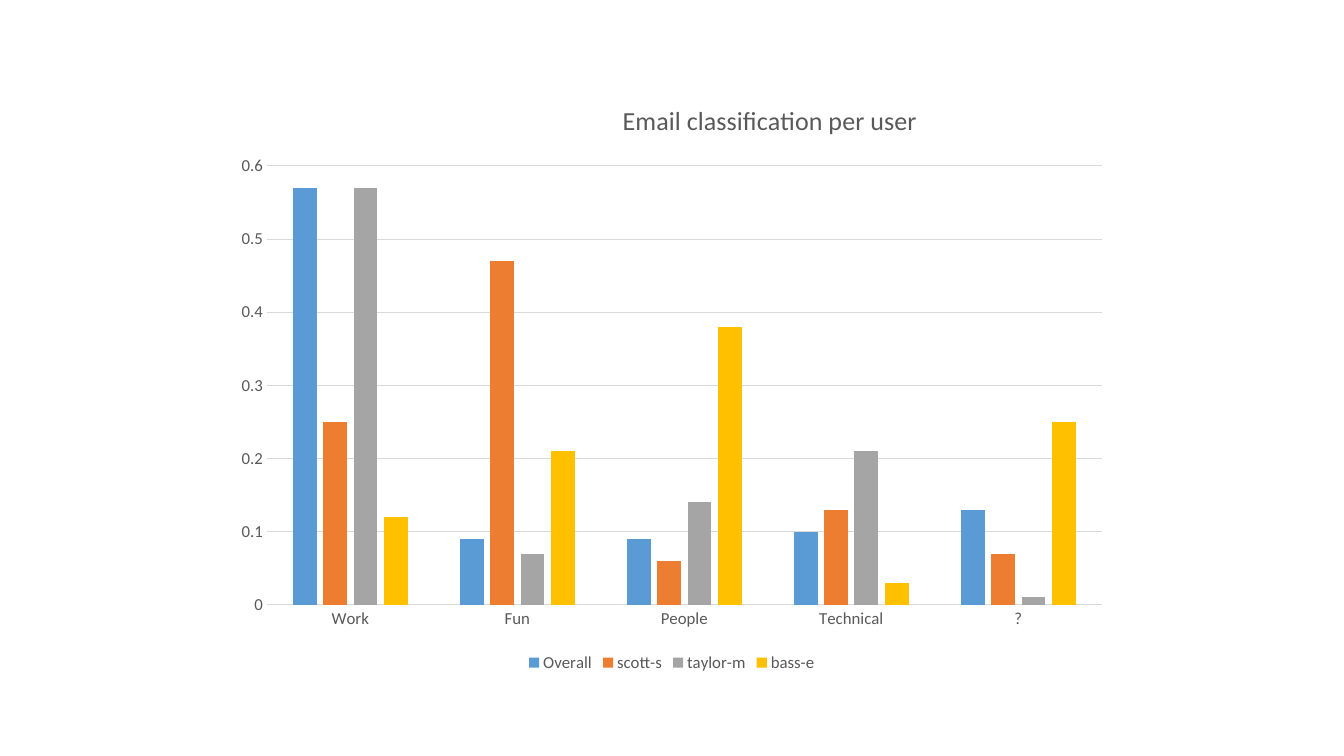
"""Build a slide with a column chart of email classes per user."""
from pptx import Presentation
from pptx.chart.data import CategoryChartData
from pptx.dml.color import RGBColor
from pptx.enum.chart import XL_CHART_TYPE as ChartType
from pptx.enum.chart import XL_LEGEND_POSITION as LegendPosition
from pptx.enum.chart import XL_TICK_MARK as TickMark
from pptx.oxml import parse_xml
from pptx.oxml.ns import nsdecls
from pptx.util import Cm, Pt

GREY, RULE = "595959", "D9D9D9"
CATEGORIES = ["Work", "Fun", "People", "Technical", "?"]
SERIES = {
    "Overall": ("5B9BD5", [0.57, 0.09, 0.09, 0.1, 0.13]),
    "scott-s": ("ED7D31", [0.25, 0.47, 0.06, 0.13, 0.07]),
    "taylor-m": ("A5A5A5", [0.57, 0.07, 0.14, 0.21, 0.01]),
    "bass-e": ("FFC000", [0.12, 0.21, 0.38, 0.03, 0.25]),
}


def color(value):
    return RGBColor.from_string(value)


def layout(target, **places):
    for old in target.findall("{*}layout"):
        target.remove(old)
    parts = "".join(f'<c:{name} val="{value}"/>' for name, value in places.items())
    return parse_xml(
        f'<c:layout {nsdecls("c")}><c:manualLayout>{parts}</c:manualLayout></c:layout>'
    )


deck = Presentation()
deck.slide_width, deck.slide_height = Cm(33.87), Cm(19.05)
page = deck.slides.add_slide(deck.slide_layouts[6])

data = CategoryChartData(number_format="General")
data.categories = CATEGORIES
for name, (_, values) in SERIES.items():
    data.add_series(name, values)
chart = page.shapes.add_chart(
    ChartType.COLUMN_CLUSTERED, Cm(5.64), Cm(2), Cm(22.58), Cm(15.05), data
).chart

chart.has_title = chart.has_legend = True
chart.legend.position = LegendPosition.BOTTOM
chart.legend.include_in_layout = False
title = chart.chart_title
title.include_in_layout = False
title.text_frame.text = "Email classification per user"
span = title.text_frame.paragraphs[0].runs[0]

fonts = [
    (chart.font, 12),
    (chart.legend.font, 12),
    (chart.category_axis.tick_labels.font, 12),
    (chart.value_axis.tick_labels.font, 12),
    (span.font, 18.6),
]
for font, size in fonts:
    for key, value in {"name": "Calibri", "size": Pt(size), "bold": False}.items():
        setattr(font, key, value)
    font.color.rgb = color(GREY)

for axis in (chart.category_axis, chart.value_axis):
    axis.major_tick_mark = axis.minor_tick_mark = TickMark.NONE
value_axis = chart.value_axis
for key, value in {
    "minimum_scale": 0,
    "maximum_scale": 0.6,
    "major_unit": 0.1,
    "has_major_gridlines": True,
}.items():
    setattr(value_axis, key, value)
value_axis.format.line.fill.background()
for line in (chart.category_axis.format.line, value_axis.major_gridlines.format.line):
    line.width = Pt(0.75)
    line.color.rgb = color(RULE)

plot = chart.plots[0]
for key, value in {"gap_width": 219, "overlap": -27, "vary_by_categories": False}.items():
    setattr(plot, key, value)
for series, (fill, _) in zip(plot.series, SERIES.values()):
    series.invert_if_negative = False
    series.format.fill.solid()
    series.format.fill.fore_color.rgb = color(fill)

title_xml = chart.chart_title._element
title_xml.find("{*}tx").addnext(
    layout(title_xml, xMode="edge", yMode="edge", x=0.44, y=0.03)
)
plot_xml = chart._chartSpace.chart.plotArea
plot_xml.insert(
    0,
    layout(
        plot_xml, layoutTarget="inner", xMode="edge", yMode="edge",
        x=0.048, y=0.145, w=0.932, h=0.735,
    ),
)

deck.save("out.pptx")
